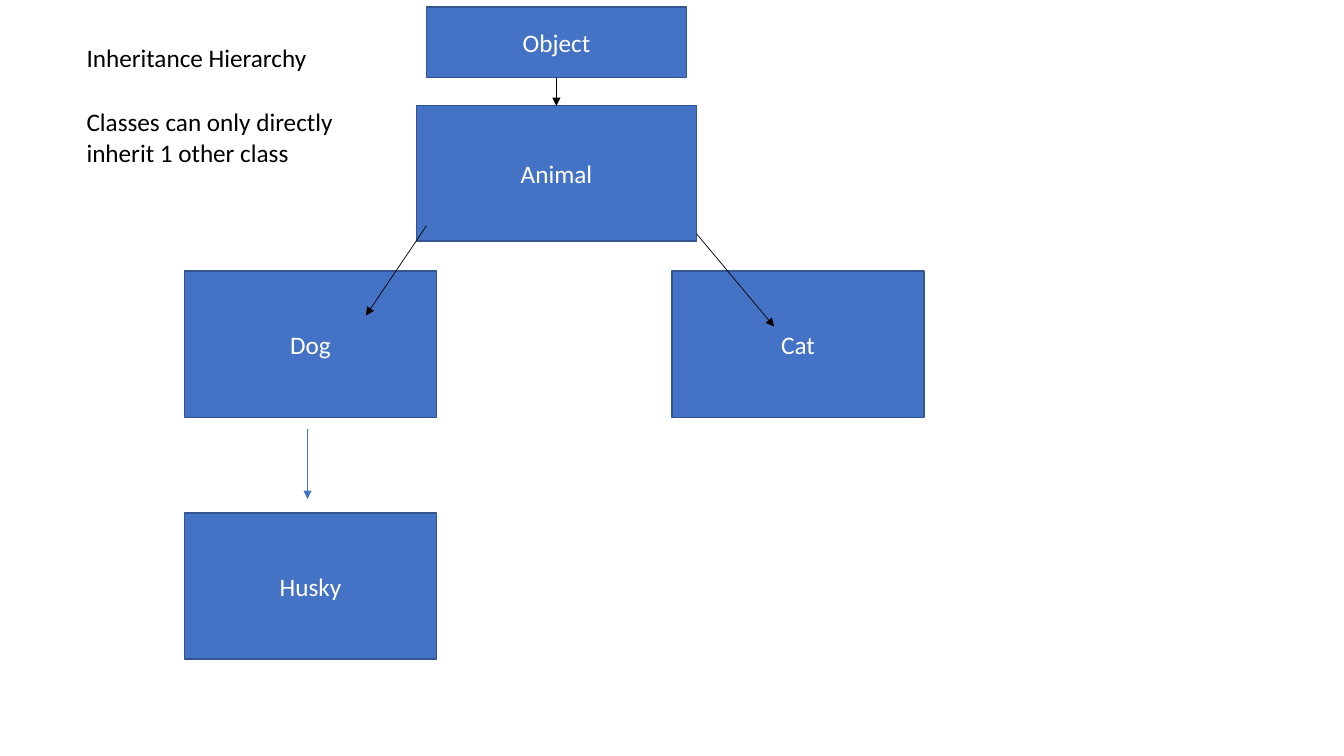
from lxml import etree
from pptx import Presentation
from pptx import util as u
from pptx.dml.color import RGBColor
from pptx.enum import shapes, text
from pptx.oxml.ns import qn

WIDE, HIGH = u.Inches(13.333), u.Inches(7.5)
BLUE, EDGE, BLACK, WHITE = "4472C4", "325491", "000000", "FFFFFF"
LEFT, RIGHT = 13.73, 50  # columns of the subclasses
CLASS = (18.75, 19.33)  # width and height of a subclass box


def color(code):
    return RGBColor.from_string(code)


def place(*shares):
    """Turn percentages, across and down in turn, into slide lengths."""
    return [int((HIGH if i % 2 else WIDE) * s / 100)
            for i, s in enumerate(shares)]


def write(shape, words, ink=BLACK, size=18, font="Calibri",
          align=text.PP_ALIGN.LEFT, anchor=text.MSO_ANCHOR.TOP):
    frame = shape.text_frame
    frame.word_wrap = True
    frame.vertical_anchor = anchor
    para = frame.paragraphs[0]
    para.alignment = align
    run = para.add_run()
    run.text = words
    run.font.size = u.Pt(size)
    run.font.name = font
    run.font.color.rgb = color(ink)


def box(slide, name, *area):
    shape = slide.shapes.add_shape(shapes.MSO_SHAPE.RECTANGLE, *place(*area))
    shape.shadow.inherit = False
    shape.fill.solid()
    shape.fill.fore_color.rgb = color(BLUE)
    shape.line.color.rgb = color(EDGE)
    shape.line.width = u.Pt(1)
    write(shape, name, ink=WHITE, align=text.PP_ALIGN.CENTER,
          anchor=text.MSO_ANCHOR.MIDDLE)


def note(slide, words, *area):
    shape = slide.shapes.add_textbox(*place(*area))
    write(shape, words)
    shape.text_frame.auto_size = text.MSO_AUTO_SIZE.SHAPE_TO_FIT_TEXT


def arrow(slide, *ends, ink=BLACK):
    link = slide.shapes.add_connector(shapes.MSO_CONNECTOR.STRAIGHT,
                                      *place(*ends))
    link.line.color.rgb = color(ink)
    link.line.width = u.Pt(0.5)
    etree.SubElement(link.line._get_or_add_ln(), qn("a:tailEnd"),
                     type="triangle")
    etree.SubElement(link._element.spPr, qn("a:effectLst"))


def main():
    deck = Presentation()
    deck.slide_width, deck.slide_height = WIDE, HIGH
    slide = deck.slides.add_slide(deck.slide_layouts[6])

    note(slide, "Inheritance Hierarchy", 5.7, 4.93, 23.03, 5.33)
    note(slide, "Classes can only directly inherit 1 other class",
         5.7, 13.47, 20.85, 9.47)

    box(slide, "Object", 31.73, 0.93, 19.35, 9.33)
    box(slide, "Animal", 30.98, 14, 20.85, 17.87)
    for name, left, top in (("Dog", LEFT, 35.87), ("Cat", RIGHT, 35.87),
                            ("Husky", LEFT, 67.87)):
        box(slide, name, left, top, *CLASS)

    arrow(slide, 41.4, 10.27, 41.4, 14)
    arrow(slide, 31.73, 29.87, 27.23, 41.73)
    arrow(slide, 51.83, 30.93, 57.6, 43.2)
    arrow(slide, 22.88, 56.8, 22.88, 66, ink=BLUE)

    deck.save("out.pptx")


if __name__ == "__main__":
    main()
